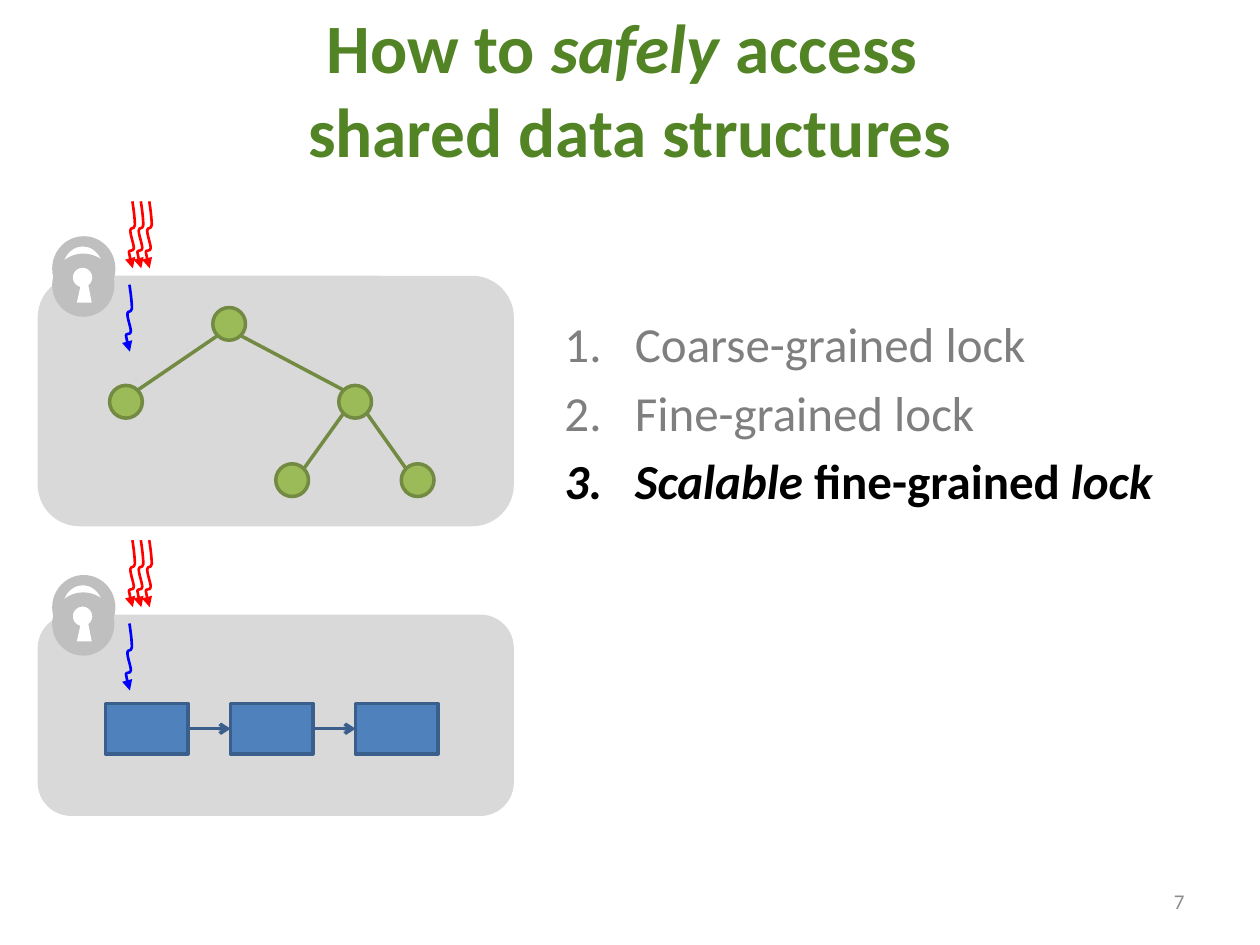
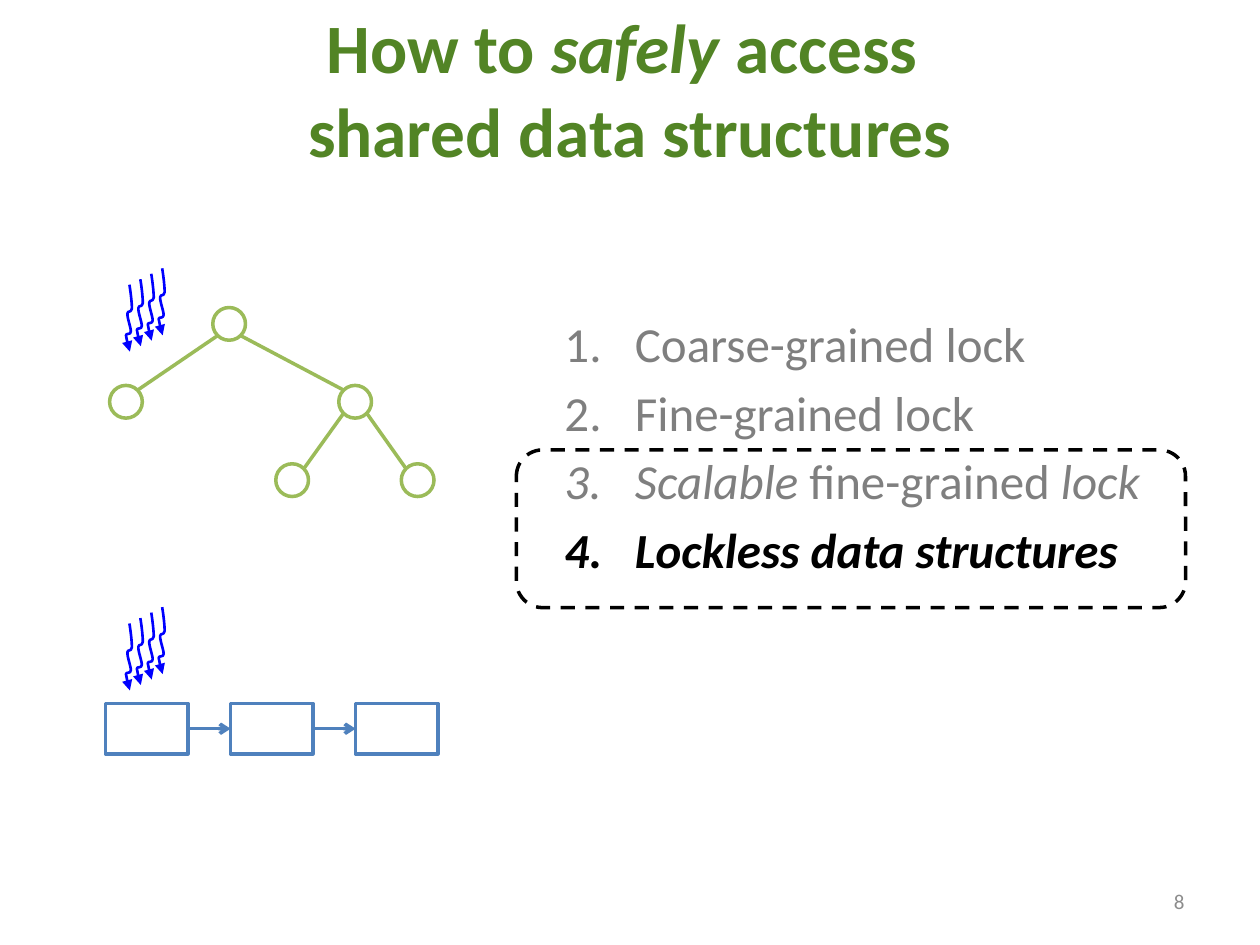
from dataclasses import dataclass

from lxml.etree import SubElement
from pptx import Presentation
from pptx.dml.color import RGBColor
from pptx.enum.dml import MSO_LINE_DASH_STYLE as DASH
from pptx.enum.shapes import MSO_CONNECTOR as CONNECTOR, MSO_SHAPE as SHAPE
from pptx.enum.text import MSO_ANCHOR as ANCHOR, MSO_AUTO_SIZE as AUTO_SIZE, PP_ALIGN as ALIGN
from pptx.oxml.ns import qn
from pptx.util import Cm, Pt


@dataclass(frozen=True)
class Theme:
    font: str = "Calibri"
    title_size: float = 39.6
    list_size: int = 28
    number_size: int = 12
    title: str = "528425"
    muted: str = "7F7F7F"
    number: str = "8C8C8C"
    black: str = "000000"
    white: str = "FFFFFF"
    panel: str = "D9D9D9"
    lock: str = "BFBFBF"
    waiting: str = "FF0000"
    running: str = "0000FF"
    green: str = "9BBB59"
    dark_green: str = "738A42"
    blue: str = "4F81BD"
    dark_blue: str = "3A5F8C"


THEME = Theme()


def paint(shape, fill=None, line=None, width=2, arrowhead=None):
    """Set fill, line and end arrowhead, and drop the shadow."""
    if hasattr(shape, "fill"):
        if fill:
            shape.fill.solid()
            shape.fill.fore_color.rgb = RGBColor.from_string(fill)
        else:
            shape.fill.background()
    if line:
        shape.line.width = Pt(width)
        shape.line.color.rgb = RGBColor.from_string(line)
    else:
        shape.line.fill.background()
    properties = shape._element.spPr
    if arrowhead:
        SubElement(properties.find(qn("a:ln")), qn("a:tailEnd"), type=arrowhead)
    SubElement(properties, qn("a:effectLst"))


# Cubic curves in cm from the start: two control points and an end point each
THREAD_CURVES = [
    ((0.03, 0.18), (0.05, 0.38), (0.05, 0.48)),
    ((0.03, 0.58), (-0.03, 0.51), (-0.04, 0.58)),
    ((-0.05, 0.66), (0.03, 0.86), (0.03, 0.94)),
    ((0.03, 1.02), (-0.07, 0.97), (-0.07, 1.02)),
    ((-0.07, 1.09), (0, 1.3), (0.01, 1.35)),
]


def add_thread(slide, left, top, color):
    """Draw a wavy downward arrow that stands for one thread."""
    builder = slide.shapes.build_freeform(Cm(left), Cm(top))
    builder.add_line_segments(
        [(Cm(left + x), Cm(top + y)) for curve in THREAD_CURVES for x, y in curve], close=False)
    thread = builder.convert_to_shape()
    outline = next(thread._element.iter(qn("a:path")))
    segments = outline.findall(qn("a:lnTo"))
    for first in range(0, len(segments), 3):
        curve = SubElement(outline, qn("a:cubicBezTo"))
        for segment in segments[first:first + 3]:
            curve.append(segment[0])
            outline.remove(segment)
    paint(thread, line=color, width=1.5, arrowhead="triangle")


TITLE_RUNS = [("How to ", False), ("safely", True), (" access ", False)]
LIST_ITEMS = [
    [("Coarse-grained lock", False)],
    [("Fine-grained lock", False)],
    [("Scalable", True), (" fine-grained ", False), ("lock", True)],
    [("Lockless data structures", True)],
]

# Lengths below are in cm
STRUCTURE_GAP = 6.83
PANEL_HEIGHTS = [5.05, 4.06]
LOCK_DISCS = [
    (1.07, 4.78, 1.24, 1.27, THEME.lock),
    (1.24, 4.95, 0.86, 0.99, THEME.white),
    (1.07, 5.13, 1.22, 1.24, THEME.lock),
    (1.45, 5.38, 0.43, 0.43, THEME.white),
]
KEYHOLE = [(1.55, 6.1), (1.63, 5.74), (1.78, 5.74), (1.85, 6.1)]
NODE_SIZE = 0.66
NODE_CENTERS = [(4.62, 6.53), (2.54, 8.1), (7.16, 8.1), (5.89, 9.68), (8.42, 9.68)]
EDGES = [(0, 1), (0, 2), (2, 3), (2, 4)]
EDGE_INSET = 0.24

# Number, item count, locked, node fill and line, box fill and line
SLIDES = [
    (7, 3, True, THEME.green, THEME.dark_green, THEME.blue, THEME.dark_blue),
    (8, 4, False, THEME.white, THEME.green, THEME.white, THEME.blue),
]

presentation = Presentation()
presentation.slide_width = Cm(25.4)
presentation.slide_height = Cm(19.05)
title_only = presentation.slide_layouts[5]

for number, item_count, locked, node_fill, node_line, box_fill, box_line in SLIDES:
    slide = presentation.slides.add_slide(title_only)
    shapes = slide.shapes

    # Title
    title = shapes.title
    title.left, title.top, title.width, title.height = Cm(0), Cm(0.18), Cm(25.4), Cm(3.18)
    frame = title.text_frame
    frame.auto_size = AUTO_SIZE.NONE
    frame.vertical_anchor = ANCHOR.MIDDLE
    paragraph = frame.paragraphs[0]
    paragraph.alignment = ALIGN.CENTER
    paragraph.font.name = THEME.font
    paragraph.font.size = Pt(THEME.title_size)
    paragraph.font.bold = True
    paragraph.font.color.rgb = RGBColor.from_string(THEME.title)
    for text, italic in TITLE_RUNS:
        run = paragraph.add_run()
        run.text = text
        run.font.italic = italic
    paragraph.add_line_break()
    paragraph.add_run().text = "shared data structures"

    # Numbered list, with its last item stressed
    frame = shapes.add_textbox(Cm(11.13), Cm(6.2), Cm(13), Cm(10.82)).text_frame
    frame.word_wrap = True
    for index, runs in enumerate(LIST_ITEMS[:item_count]):
        paragraph = frame.paragraphs[0] if index == 0 else frame.add_paragraph()
        stressed = index == item_count - 1
        paragraph.space_before = Pt(5.5)
        properties = paragraph._p.get_or_add_pPr()
        properties.set("marL", str(Cm(1.42)))
        properties.set("indent", str(Cm(-1.42)))
        SubElement(properties, qn("a:buAutoNum"), type="arabicPeriod")
        paragraph.font.name = THEME.font
        paragraph.font.size = Pt(THEME.list_size)
        paragraph.font.bold = stressed
        paragraph.font.color.rgb = RGBColor.from_string(THEME.black if stressed else THEME.muted)
        for text, italic in runs:
            run = paragraph.add_run()
            run.text = text
            run.font.italic = italic

    # Slide number
    frame = shapes.add_textbox(Cm(18.2), Cm(17.66), Cm(5.93), Cm(1.01)).text_frame
    frame.word_wrap = True
    frame.vertical_anchor = ANCHOR.MIDDLE
    paragraph = frame.paragraphs[0]
    paragraph.text = str(number)
    paragraph.alignment = ALIGN.RIGHT
    paragraph.font.name = THEME.font
    paragraph.font.size = Pt(THEME.number_size)
    paragraph.font.color.rgb = RGBColor.from_string(THEME.number)

    # Panel, lock and threads of each data structure
    for index, panel_height in enumerate(PANEL_HEIGHTS):
        shift = index * STRUCTURE_GAP
        if locked:
            panel = shapes.add_shape(
                SHAPE.ROUNDED_RECTANGLE, Cm(0.76), Cm(5.56 + shift), Cm(9.6), Cm(panel_height))
            paint(panel, fill=THEME.panel)
            for left, top, width, height, fill in LOCK_DISCS:
                disc = shapes.add_shape(SHAPE.OVAL, Cm(left), Cm(top + shift), Cm(width), Cm(height))
                paint(disc, fill=fill, line=THEME.lock, width=1)
            corners = [(Cm(x), Cm(y + shift)) for x, y in KEYHOLE]
            builder = shapes.build_freeform(*corners[0])
            builder.add_line_segments(corners[1:])
            paint(builder.convert_to_shape(), fill=THEME.white)
            for waiting in range(3):
                add_thread(slide, 2.67 + 0.17 * waiting, 4.06 + shift, THEME.waiting)
        for running in range(1 if locked else 4):
            add_thread(slide, 2.61 + 0.22 * running, 5.74 - 0.11 * running + shift, THEME.running)

    # Tree
    for x, y in NODE_CENTERS:
        node = shapes.add_shape(
            SHAPE.OVAL, Cm(x - NODE_SIZE / 2), Cm(y - NODE_SIZE / 2), Cm(NODE_SIZE), Cm(NODE_SIZE))
        paint(node, fill=node_fill, line=node_line)
    for parent, child in EDGES:
        (parent_x, parent_y), (child_x, child_y) = NODE_CENTERS[parent], NODE_CENTERS[child]
        inset = EDGE_INSET if child_x > parent_x else -EDGE_INSET
        edge = shapes.add_connector(
            CONNECTOR.STRAIGHT,
            Cm(parent_x + inset), Cm(parent_y + EDGE_INSET),
            Cm(child_x - inset), Cm(child_y - EDGE_INSET))
        paint(edge, line=node_line)

    # Linked list
    boxes = []
    for index in range(3):
        box = shapes.add_shape(
            SHAPE.RECTANGLE, Cm(2.13 + 2.52 * index), Cm(14.18), Cm(1.66), Cm(1.02))
        paint(box, fill=box_fill, line=box_line)
        boxes.append(box)
    for box, next_box in zip(boxes, boxes[1:]):
        link = shapes.add_connector(CONNECTOR.STRAIGHT, 0, 0, 0, 0)
        link.begin_connect(box, 3)
        link.end_connect(next_box, 1)
        paint(link, line=box_line, arrowhead="arrow")

    # Frame around the last two items
    if not locked:
        highlight = shapes.add_shape(
            SHAPE.ROUNDED_RECTANGLE, Cm(10.41), Cm(9.07), Cm(13.49), Cm(3.18))
        paint(highlight, line=THEME.black)
        highlight.line.dash_style = DASH.DASH

presentation.save("out.pptx")
